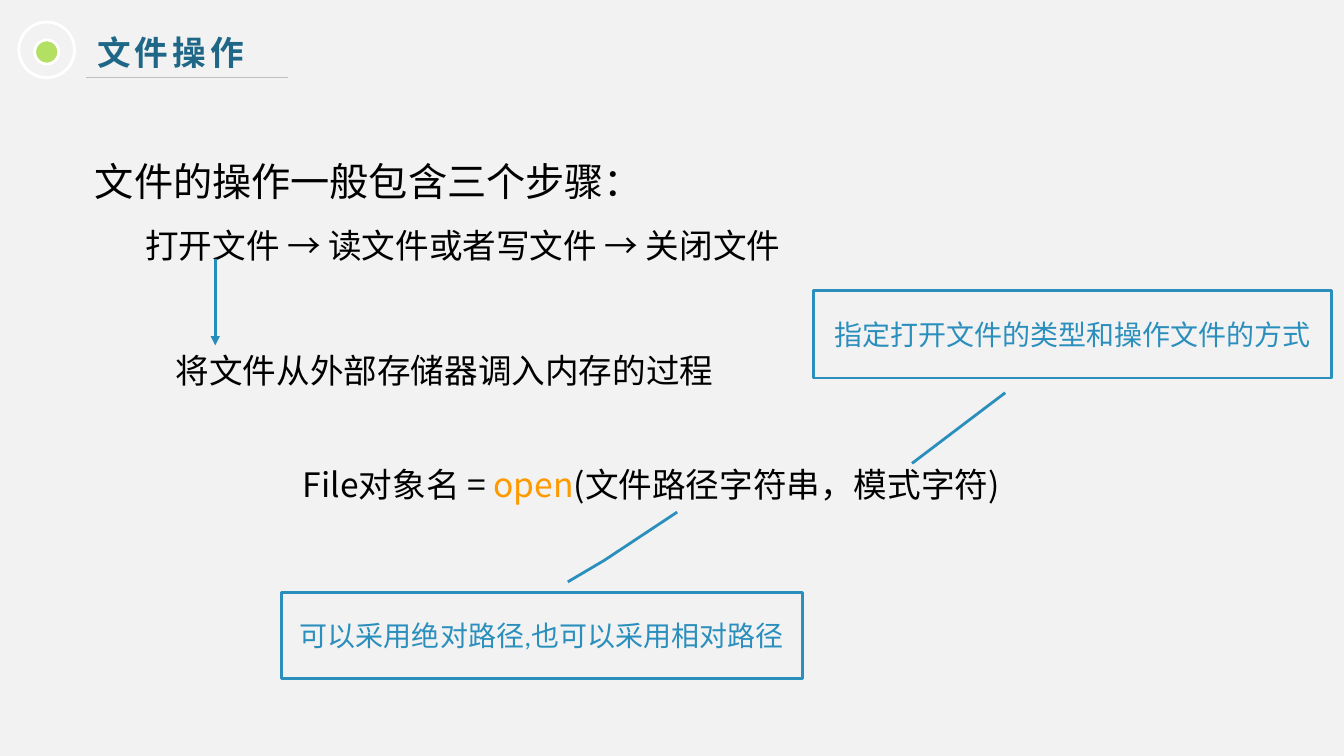
from dataclasses import dataclass

from lxml.etree import SubElement
from pptx import Presentation
from pptx.dml.color import RGBColor
from pptx.enum.shapes import MSO_CONNECTOR as Connector, MSO_SHAPE as Shape
from pptx.enum.text import MSO_ANCHOR as Anchor, MSO_AUTO_SIZE as AutoSize, PP_ALIGN as Align
from pptx.oxml.ns import qn
from pptx.util import Pt

SCALE = 9525


@dataclass(frozen=True)
class Theme:
    """Colours, fonts and type sizes of the slide."""
    background: str = "F2F2F2"
    title: str = "1E6787"
    text: str = "000000"
    keyword: str = "FF9900"
    green: str = "B3DF63"
    white: str = "FFFFFF"
    rule: str = "BFBFBF"
    arrow: str = "258DBC"
    callout: str = "2A8FBD"
    latin: str = "Calibri"
    chinese: str = "Noto Sans CJK SC"
    lead_size: int = 28
    body_size: int = 24
    note_size: int = 20


THEME = Theme()


def px(*lengths):
    """Turn px lengths into EMU."""
    return [length * SCALE for length in lengths]


def color(value):
    """Turn a hex string into a colour."""
    return RGBColor.from_string(value)


def add_run(paragraph, text, *, size=THEME.body_size, font=THEME.latin,
            ink=THEME.text, bold=False, tracking=0):
    """Append formatted text to a paragraph."""
    run = paragraph.add_run()
    run.text = text
    run.font.size, run.font.name, run.font.bold = Pt(size), font, bold
    run.font.color.rgb = color(ink)
    properties = run.font._element
    SubElement(properties, qn("a:ea")).set("typeface", THEME.chinese)
    if tracking:
        properties.set("spc", str(tracking * 100))


def add_text_box(slide, box):
    """Add a wrapping text box and return its text frame."""
    frame = slide.shapes.add_textbox(*px(*box)).text_frame
    frame.word_wrap = True
    frame.auto_size = AutoSize.SHAPE_TO_FIT_TEXT
    return frame


def add_outline(slide, kind, box, line, fill=None):
    """Add a preset shape with a 2 pt outline."""
    shape = slide.shapes.add_shape(kind, *px(*box))
    shape.shadow.inherit = False
    if fill:
        shape.fill.solid()
        shape.fill.fore_color.rgb = color(fill)
    else:
        shape.fill.background()
    shape.line.color.rgb = color(line)
    shape.line.width = Pt(2)
    return shape


def add_line(slide, start, end, ink, width, arrow=False):
    """Add a straight line, with an arrowhead at its end on request."""
    line = slide.shapes.add_connector(Connector.STRAIGHT, *px(*start, *end))
    line.line.color.rgb = color(ink)
    line.line.width = Pt(width)
    if arrow:
        SubElement(line.line._get_or_add_ln(), qn("a:tailEnd")).set("type", "triangle")
    SubElement(line._element.spPr, qn("a:effectLst"))


def add_header(slide, left, top, title):
    """Place the ringed dot, the title and its underline."""
    frame = add_text_box(slide, (left + 65, top + 5, 619, 48))
    add_run(frame.paragraphs[0], title, font=THEME.chinese, ink=THEME.title,
            bold=True, tracking=3)
    add_outline(slide, Shape.OVAL, (left + 15, top + 17, 23, 23), THEME.white, THEME.green)
    add_outline(slide, Shape.OVAL, (left, top, 53, 53), THEME.white)
    add_line(slide, (left + 64, top + 53), (left + 256, top + 53), THEME.rule, 0.75)


def add_steps(slide, box):
    """Place the three steps and the arrow to the meaning of the first."""
    left, top = box[:2]
    frame = add_text_box(slide, box)
    lines = [("文件的操作一般包含三个步骤：", THEME.lead_size, THEME.latin),
             ("打开文件 → 读文件或者写文件 → 关闭文件", THEME.body_size, THEME.chinese)]
    for level, (text, size, font) in enumerate(lines, 1):
        paragraph = frame.paragraphs[0] if level == 1 else frame.add_paragraph()
        paragraph.level, paragraph.line_spacing = level, 1.5
        properties = paragraph._p.get_or_add_pPr()
        properties.set("marL", str(level * 48 * SCALE))
        properties.set("indent", "0")
        add_run(paragraph, text, size=size, font=font)
    meaning = add_text_box(slide, (left + 125, top + 206, 537, 48))
    add_run(meaning.paragraphs[0], "将文件从外部存储器调入内存的过程")
    add_line(slide, (left + 172, top + 124), (left + 172, top + 206),
             THEME.arrow, 2.25, arrow=True)


def add_syntax(slide, box):
    """Place the syntax of the open call."""
    paragraph = add_text_box(slide, box).paragraphs[0]
    for text, ink in [("File对象名 = ", THEME.text), ("open", THEME.keyword),
                      ("(文件路径字符串，模式字符)", THEME.text)]:
        add_run(paragraph, text, font=THEME.chinese, ink=ink)


def add_callout(slide, box, text, pointer):
    """Place a boxed note whose pointer is given as y, x shares of the box."""
    shape = add_outline(slide, Shape.LINE_CALLOUT_2, box, THEME.callout)
    for index, share in enumerate(pointer):
        shape.adjustments[index] = share
    frame = shape.text_frame
    frame.word_wrap, frame.vertical_anchor = True, Anchor.MIDDLE
    paragraph = frame.paragraphs[0]
    paragraph.alignment = Align.CENTER
    add_run(paragraph, text, size=THEME.note_size, ink=THEME.callout)


def main():
    """Build the slide and save it."""
    presentation = Presentation()
    presentation.slide_width, presentation.slide_height = px(1280, 720)
    slide = presentation.slides.add_slide(presentation.slide_layouts[6])
    slide.background.fill.solid()
    slide.background.fill.fore_color.rgb = color(THEME.background)
    add_header(slide, 18, 21, "文件操作")
    add_steps(slide, (33, 123, 1141, 245))
    add_syntax(slide, (279, 437, 701, 48))
    add_callout(slide, (775, 277, 493, 83), "指定打开文件的类型和操作文件的方式",
                (1.17, 0.37, 1.53, 0.29, 1.98, 0.19))
    add_callout(slide, (268, 564, 496, 82), "可以采用绝对路径,也可以采用相对路径",
                (-0.12, 0.55, -0.37, 0.62, -0.93, 0.76))
    presentation.save("out.pptx")


if __name__ == "__main__":
    main()
